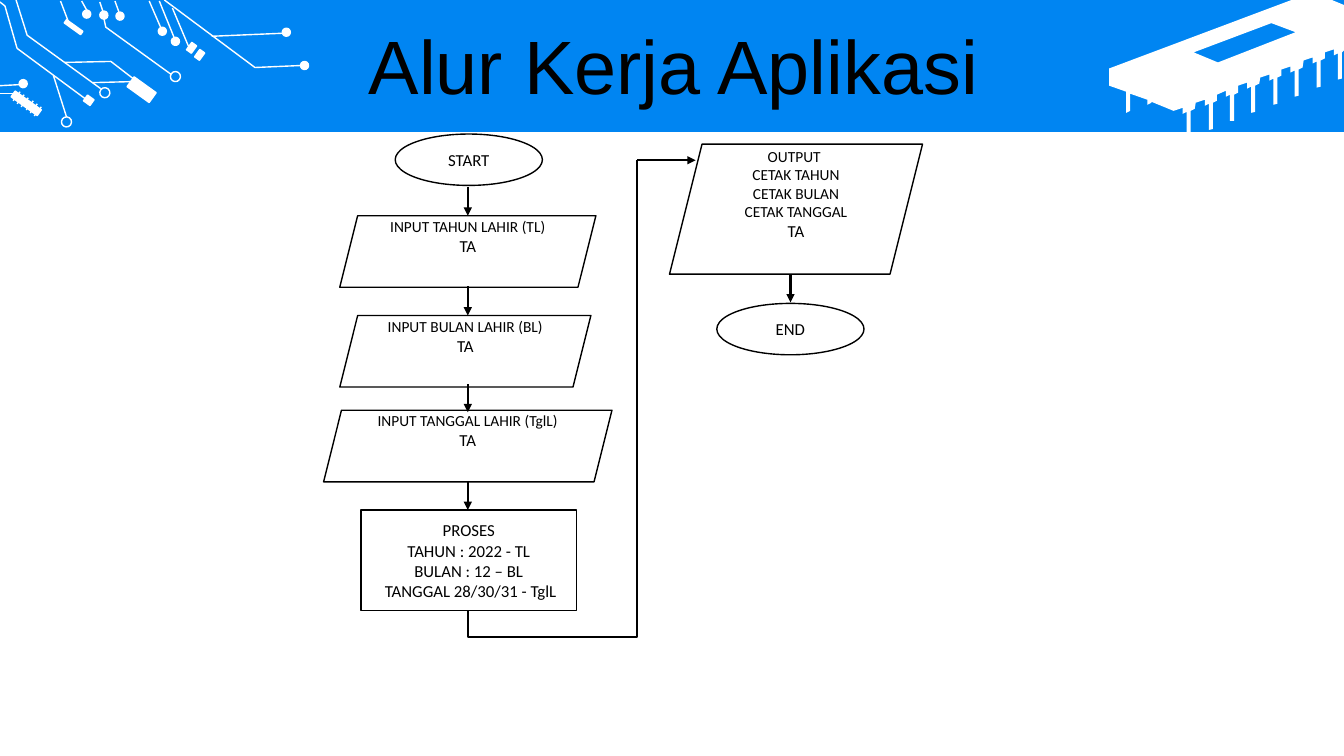
"""Build the application workflow slide with a circuit-board header."""
from lxml import etree
from pptx import Presentation
from pptx.dml.color import RGBColor
from pptx.enum.shapes import MSO_CONNECTOR, MSO_SHAPE
from pptx.enum.text import MSO_ANCHOR, MSO_AUTO_SIZE, PP_ALIGN
from pptx.oxml.ns import qn
from pptx.util import Inches, Pt

RECTANGLE, ELLIPSE = MSO_SHAPE.RECTANGLE, MSO_SHAPE.OVAL
PARALLELOGRAM = MSO_SHAPE.PARALLELOGRAM
STRAIGHT, ELBOW = MSO_CONNECTOR.STRAIGHT, MSO_CONNECTOR.ELBOW
MIDDLE, CENTER, NO_FIT = MSO_ANCHOR.MIDDLE, PP_ALIGN.CENTER, MSO_AUTO_SIZE.NONE
BLUE, WHITE, BLACK = "0085F2", "FFFFFF", "000000"
GRID = Inches(0.01)
COLUMNS, ROWS = 1333, 750
TILT = 35.7

deck = Presentation()
deck.slide_width, deck.slide_height = COLUMNS * GRID, ROWS * GRID
page = deck.slides.add_slide(deck.slide_layouts[5])
shapes = page.shapes


def paint(shape, fill=None, line=None):
    """Set the fill and outline of a shape and drop its shadow."""
    shape.shadow.inherit = False
    for part, color in ((shape.fill, fill), (shape.line.fill, line)):
        if color:
            part.solid()
            part.fore_color.rgb = RGBColor.from_string(color)
        else:
            part.background()
    if line:
        shape.line.width = Pt(1)


def connect(kind, ends, color, width, arrow=False):
    """Draw a connector between two grid points."""
    link = shapes.add_connector(kind, *[value * GRID for value in ends])
    link.line.width = Pt(width)
    link.line.color.rgb = RGBColor.from_string(color)
    properties = link.element.find(qn("p:spPr"))
    if arrow:
        etree.SubElement(properties.find(qn("a:ln")), qn("a:tailEnd"), type="triangle")
    etree.SubElement(properties, qn("a:effectLst"))
    return link


header = shapes.add_shape(RECTANGLE, 0, 0, COLUMNS * GRID, 131 * GRID)
paint(header, BLUE)

pin_profile = [(4, -2), (0, 0), (0, 26), (-4, 27), (-4, 1), (-8, 3), (-8, -3), (-17, 0)]
chip_edge = [(1321, 0), (1333, 5)]
for pin in range(8):
    chip_edge += [(min(COLUMNS, round(1331 - 21.4 * pin + x)), round(52 + 8.3 * pin + y))
                  for x, y in pin_profile]
chip_edge += [(1142, 101), (1142, 102), (1138, 104), (1138, 99), (1121, 93),
              (1121, 110), (1117, 112), (1117, 91), (1100, 85), (1100, 68)]
chip_outline = shapes.build_freeform(1281, 0, scale=GRID)
chip_outline.add_line_segments(chip_edge)
chip_outline.move_to(1261, 23)
chip_outline.add_line_segments([(1184, 52), (1208, 62), (1285, 32)])
paint(chip_outline.convert_to_shape(), WHITE)

pads = [(127, 83, 27, 12), (63, 25, 20, 4), (84, 96, 8, 7),
        (187, 43, 6, 9), (195, 50, 6, 9), (10, 99, 32, 7)]
dots = [(298, 61), (280, 28), (82, 10), (99, 11), (115, 12), (19, 79), (170, 37), (157, 27)]
rings = [(169, 71), (99, 87), (61, 116)]
parts = [(RECTANGLE, WHITE, pad) for pad in pads]
parts += [(ELLIPSE, WHITE, (*dot, 8, 8)) for dot in dots]
parts += [(ELLIPSE, None, (*ring, 10, 10)) for ring in rings]
for kind, fill, place in parts:
    part = shapes.add_shape(kind, *[value * GRID for value in place])
    part.rotation = TILT
    paint(part, fill, WHITE)

traces = [
    [(163, 0), (253, 67), (299, 65)],
    [(16, 0), (27, 35), (100, 88)],
    [(0, 2), (5, 6), (17, 48), (86, 99)],
    [(64, 62), (110, 61), (132, 78)],
    [(103, 18), (105, 27), (170, 74)],
]
for start, *bends in traces:
    trace = shapes.build_freeform(*start, scale=GRID)
    trace.add_line_segments(bends, close=False)
    paint(trace.convert_to_shape(), None, WHITE)

wires = [(60, 1, 68, 22), (81, 1, 86, 10), (99, 2, 102, 11), (114, 1, 118, 12),
         (148, 1, 161, 31), (158, 1, 173, 38), (210, 36, 280, 33), (171, 8, 187, 46),
         (0, 85, 19, 84), (0, 93, 14, 93), (53, 75, 66, 116), (92, 82, 130, 81)]
for tooth in range(6):
    x, y = round(13 + 4.2 * tooth), 100 + 3 * tooth
    wires.append((x, y, x + 7, y - 9))
for wire in wires:
    connect(STRAIGHT, wire, WHITE, 1)

title = shapes.title
title.element.getparent().append(title.element)
title_place = {"left": 35, "top": 30, "width": 1266, "height": 79}
for name, value in title_place.items():
    setattr(title, name, value * GRID)
title.text_frame.text = "Alur Kerja Aplikasi"
title_frame = {"vertical_anchor": MIDDLE, "word_wrap": True, "auto_size": NO_FIT}
for name, value in title_frame.items():
    setattr(title.text_frame, name, value)
para = title.text_frame.paragraphs[0]
for name, value in {"alignment": CENTER, "line_spacing": 0.9, "space_before": Pt(10)}.items():
    setattr(para, name, value)
span = para.runs[0]
for name, value in {"name": "Arial", "size": Pt(54)}.items():
    setattr(span.font, name, value)
span.font.color.rgb = RGBColor.from_string(BLACK)

steps = [
    (PARALLELOGRAM, (337, 214, 254, 71), ["INPUT TAHUN LAHIR (TL)", "TA"]),
    (PARALLELOGRAM, (337, 313, 249, 71), ["INPUT BULAN LAHIR (BL)", "TA"]),
    (PARALLELOGRAM, (321, 407, 286, 71), ["INPUT TANGGAL LAHIR (TglL)", "TA"]),
    (RECTANGLE, (358, 506, 214, 100),
     ["PROSES", "TAHUN : 2022 - TL", "BULAN : 12 – BL", " TANGGAL 28/30/31 - TglL"]),
    (PARALLELOGRAM, (664, 143, 251, 129),
     ["OUTPUT ", "CETAK TAHUN", "CETAK BULAN", "CETAK TANGGAL", "TA"]),
    (ELLIPSE, (392, 133, 146, 51), ["START"]),
    (ELLIPSE, (711, 301, 146, 51), ["END"]),
]
for kind, place, lines in steps:
    box = shapes.add_shape(kind, *[value * GRID for value in place])
    paint(box, WHITE, BLACK)
    frame = box.text_frame
    frame.text = "\n".join(lines)
    frame.word_wrap = True
    frame.vertical_anchor = MIDDLE
    if kind == PARALLELOGRAM:
        frame.margin_bottom = Inches(0.35)
    for para in frame.paragraphs:
        para.alignment = CENTER
        span = para.runs[0]
        small = kind == PARALLELOGRAM and span.text != "TA"
        for name, value in {"name": "Calibri", "size": Pt(11 if small else 12)}.items():
            setattr(span.font, name, value)
        span.font.color.rgb = RGBColor.from_string(BLACK)

arrows = [(464, top, 464, bottom)
          for top, bottom in ((186, 214), (284, 313), (381, 409), (477, 506))]
arrows += [(632, 159, 690, 159), (784, 272, 784, 300)]
for arrow in arrows:
    connect(STRAIGHT, arrow, BLACK, 1.5, arrow=True)

detour = connect(ELBOW, (772, 466, 324, 299), BLACK, 1.5)
detour.element.find(".//" + qn("a:xfrm")).set("rot", str(90 * 60000))
bend = detour.element.find(".//" + qn("a:avLst"))
etree.SubElement(bend, qn("a:gd"), name="adj1", fmla="val -5600")

deck.save("out.pptx")
